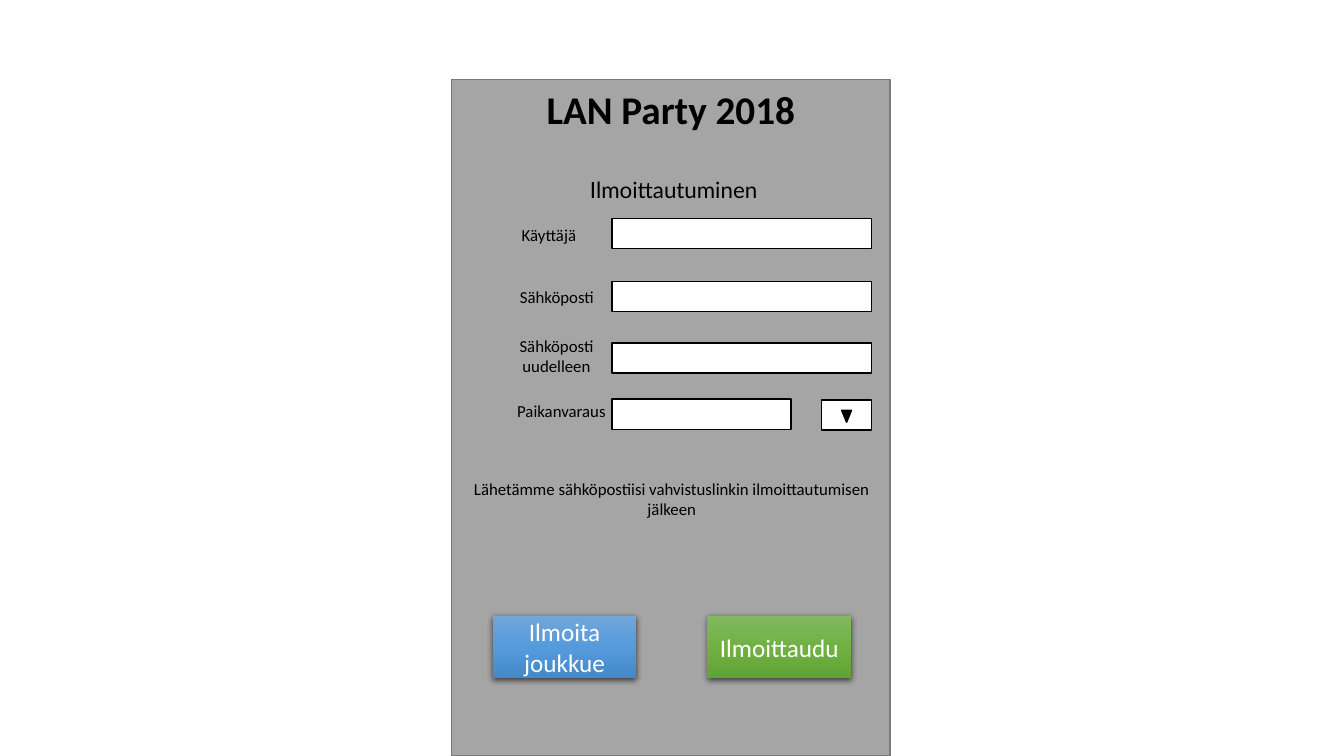
from copy import deepcopy
from lxml.etree import SubElement
from pptx import Presentation
from pptx.dml.color import RGBColor
from pptx.enum.shapes import MSO_SHAPE
from pptx.enum.text import MSO_ANCHOR, MSO_AUTO_SIZE, PP_ALIGN
from pptx.oxml.ns import qn
from pptx.util import Cm, Pt

COLOURS = {
    "black": "000000",
    "white": "FFFFFF",
    "panel": "A5A5A5",
    "panel edge": "7A7A7A",
}
BLUE = ["71A6DB", "559BDB", "448ACA"]
GREEN = ["81B861", "6FB242", "62A336"]
FIELD_LEFT, FIELD_WIDTH, FIELD_HEIGHT = 15.42, 6.55, 0.76


class FormPage:
    def __init__(self, deck):
        self.page = deck.slides.add_slide(deck.slide_layouts[5])
        self.font = "Calibri"

    def colour(self, name):
        return RGBColor.from_string(COLOURS[name])

    def add_text(self, box, text, size, colour="black", font=None, bold=False, anchor=MSO_ANCHOR.TOP):
        frame = box.text_frame
        frame.word_wrap = True
        frame.vertical_anchor = anchor
        para = frame.paragraphs[0]
        para.alignment = PP_ALIGN.CENTER
        span = para.add_run()
        span.text = text
        span.font.size = Pt(size)
        span.font.name = font or self.font
        span.font.bold = bold
        span.font.color.rgb = self.colour(colour)

    def title(self, text, left, top, width, height):
        box = self.page.shapes.title
        box.left, box.top, box.width, box.height = Cm(left), Cm(top), Cm(width), Cm(height)
        self.add_text(box, text, 28, bold=True)
        box.text_frame.auto_size = MSO_AUTO_SIZE.SHAPE_TO_FIT_TEXT
        self.page.shapes._spTree.append(box._element)

    def label(self, text, left, top, width, height, size=12, **style):
        box = self.page.shapes.add_textbox(Cm(left), Cm(top), Cm(width), Cm(height))
        self.add_text(box, text, size, **style)
        box.text_frame.auto_size = MSO_AUTO_SIZE.SHAPE_TO_FIT_TEXT

    def shape(self, left, top, width, height, fill="white", line="black", kind=MSO_SHAPE.RECTANGLE):
        shape = self.page.shapes.add_shape(kind, Cm(left), Cm(top), Cm(width), Cm(height))
        shape.shadow.inherit = False
        shape.fill.solid()
        shape.fill.fore_color.rgb = self.colour(fill)
        shape.line.color.rgb = self.colour(line)
        shape.line.width = Pt(1)
        return shape

    def button(self, text, left, top, width, height, gradient):
        shape = self.shape(left, top, width, height)
        shape.line.fill.background()
        shape.fill.gradient()
        shape.fill.gradient_angle = 270
        stop_list = shape._element.spPr.find(".//" + qn("a:gsLst"))
        stop_list.insert(1, deepcopy(stop_list[0]))
        for index, (stop, tone) in enumerate(zip(shape.fill.gradient_stops, gradient)):
            stop.position = index / 2
            stop.color.rgb = RGBColor.from_string(tone)
        effects = shape._element.spPr.find(qn("a:effectLst"))
        shadow = SubElement(effects, qn("a:outerShdw"), blurRad=str(Pt(4.5)), dist=str(Pt(1.5)),
                            dir="5400000", algn="ctr", rotWithShape="0")
        tone = SubElement(shadow, qn("a:srgbClr"), val=COLOURS["black"])
        SubElement(tone, qn("a:alpha"), val="63000")
        self.add_text(shape, text, 18, colour="white", anchor=MSO_ANCHOR.MIDDLE)


def main():
    deck = Presentation()
    deck.slide_width, deck.slide_height = Cm(33.87), Cm(19.05)
    form = FormPage(deck)

    form.shape(11.38, 2.01, 11.05, 17.04, fill="panel", line="panel edge")
    form.label("Ilmoittautuminen", 12.85, 4.32, 8.26, 0.97, size=16, font="Lato")

    fields = [
        ("Käyttäjä", 5.51, FIELD_WIDTH, (12.83, 5.54, 2.01, 0.79)),
        ("Sähköposti", 7.09, FIELD_WIDTH, (12.7, 7.09, 2.67, 0.76)),
        ("Sähköposti uudelleen", 8.64, FIELD_WIDTH, (12.45, 8.33, 3.15, 1.27)),
        ("Paikanvaraus", 10.06, 4.52, (12.73, 9.98, 2.84, 0.76)),
    ]
    for text, top, width, label_place in fields:
        form.shape(FIELD_LEFT, top, width, FIELD_HEIGHT)
        form.label(text, *label_place)

    form.shape(20.7, 10.08, 1.27, FIELD_HEIGHT)
    arrow = form.shape(21.21, 10.34, 0.25, 0.3, fill="black", kind=MSO_SHAPE.ISOSCELES_TRIANGLE)
    arrow.rotation = 180

    form.button("Ilmoita joukkue", 12.42, 15.52, 3.62, 1.57, BLUE)
    form.button("Ilmoittaudu", 17.83, 15.52, 3.62, 1.57, GREEN)

    form.label("Lähetämme sähköpostiisi vahvistuslinkin ilmoittautumisen jälkeen",
               11.43, 11.94, 11, 1.27, anchor=MSO_ANCHOR.MIDDLE)
    form.title("LAN Party 2018", 11.38, 2.03, 11.05, 1.5)
    deck.save("out.pptx")


if __name__ == "__main__":
    main()
